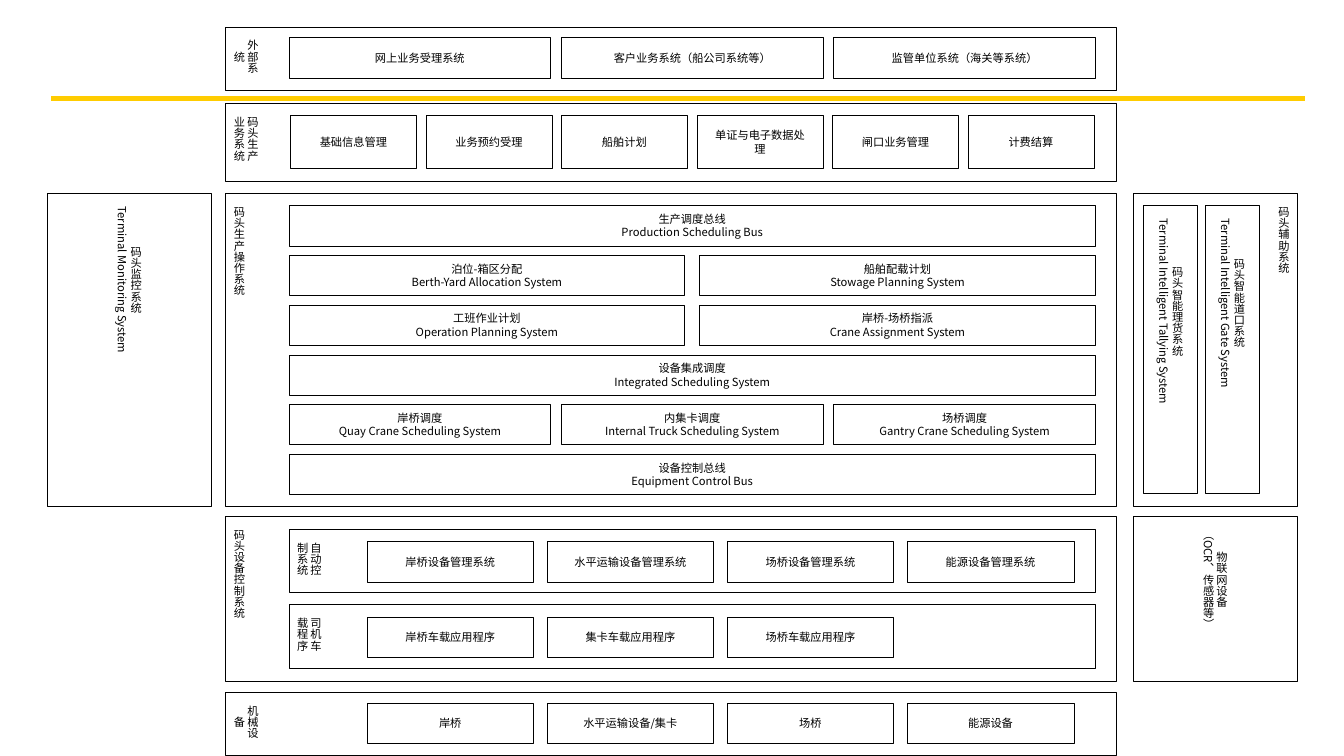
from lxml.etree import SubElement
from pptx import Presentation
from pptx.dml.color import RGBColor
from pptx.enum.shapes import MSO_CONNECTOR, MSO_SHAPE
from pptx.enum.text import MSO_ANCHOR, PP_ALIGN
from pptx.oxml.ns import qn
from pptx.util import Inches, Pt

COLORS = {"box": "FFFFFF", "ink": "000000", "divider": "FFCC00"}
FONT = "Noto Sans CJK SC"
INSET = 0.47
DEVICE_INSET, DEVICE_W, DEVICE_GAP = 1.05, 1.24, 0.1
ROW_H = 0.3


def rgb(name):
    return RGBColor.from_string(COLORS[name])


def add_box(s, x, y, w, h, text, anchor=MSO_ANCHOR.MIDDLE, vertical=False):
    sp = s.shapes.add_shape(MSO_SHAPE.RECTANGLE, Inches(x), Inches(y), Inches(w), Inches(h))
    sp.shadow.inherit = False
    sp.fill.solid()
    sp.fill.fore_color.rgb = rgb("box")
    sp.line.color.rgb = rgb("ink")
    sp.line.width = Pt(0.25)
    tf = sp.text_frame
    tf.word_wrap = True
    tf.vertical_anchor = anchor
    if vertical:
        sp.element.txBody.find(qn("a:bodyPr")).set("vert", "eaVert")
    tf.text = text
    for p in tf.paragraphs:
        p.alignment = PP_ALIGN.CENTER
        p.font.size = Pt(6)
        p.font.name = FONT
        p.font.color.rgb = rgb("ink")
        def_rpr = p._p.pPr.find(qn("a:defRPr"))
        SubElement(def_rpr, qn("a:ea")).set("typeface", FONT)


def add_panel(s, x, y, w, h, label):
    add_box(s, x, y, w, h, label, MSO_ANCHOR.BOTTOM, vertical=True)


def add_row(s, x, y, w, h, gap, labels):
    box_w = (w - gap * (len(labels) - 1)) / len(labels)
    for i, label in enumerate(labels):
        add_box(s, x + i * (box_w + gap), y, box_w, h, label)


def add_devices(s, x, y, labels):
    w = len(labels) * (DEVICE_W + DEVICE_GAP) - DEVICE_GAP
    add_row(s, x, y, w, ROW_H, DEVICE_GAP, labels)


def add_divider(s, x, y, w):
    line = s.shapes.add_connector(MSO_CONNECTOR.STRAIGHT, Inches(x), Inches(y), Inches(x + w), Inches(y))
    line.line.color.rgb = rgb("divider")
    line.line.width = Pt(2.75)
    SubElement(line.element.spPr, qn("a:effectLst"))


def external_systems(s, x, y, w, h):
    add_panel(s, x, y, w, h, "外部系统")
    add_row(s, x + INSET, y + 0.08, 6, ROW_H, 0.08,
            ["网上业务受理系统", "客户业务系统（船公司系统等）", "监管单位系统（海关等系统）"])


def business_systems(s, x, y, w, h):
    add_panel(s, x, y, w, h, "码头生产业务系统")
    add_row(s, x + INSET + 0.01, y + 0.09, 5.98, 0.39, 0.07,
            ["基础信息管理", "业务预约受理", "船舶计划", "单证与电子数据处理", "闸口业务管理", "计费结算"])


def operation_systems(s, x, y, w, h):
    add_panel(s, x, y, w, h, "码头生产操作系统")
    rows = [
        (0, ["生产调度总线\nProduction Scheduling Bus"]),
        (0.11, ["泊位-箱区分配\nBerth-Yard Allocation System",
                "船舶配载计划\nStowage Planning System"]),
        (0.11, ["工班作业计划\nOperation Planning System",
                "岸桥-场桥指派\nCrane Assignment System"]),
        (0, ["设备集成调度\nIntegrated Scheduling System"]),
        (0.08, ["岸桥调度\nQuay Crane Scheduling System",
                "内集卡调度\nInternal Truck Scheduling System",
                "场桥调度\nGantry Crane Scheduling System"]),
        (0, ["设备控制总线\nEquipment Control Bus"]),
    ]
    for i, (gap, labels) in enumerate(rows):
        add_row(s, x + INSET, y + 0.09 + 0.37 * i, 6, ROW_H, gap, labels)


def control_systems(s, x, y, w, h):
    add_panel(s, x, y, w, h, "码头设备控制系统")
    groups = [
        ("自动控制系统", ["岸桥设备管理系统", "水平运输设备管理系统", "场桥设备管理系统", "能源设备管理系统"]),
        ("司机车载程序", ["岸桥车载应用程序", "集卡车载应用程序", "场桥车载应用程序"]),
    ]
    for i, (label, devices) in enumerate(groups):
        top = y + 0.1 + 0.56 * i
        add_panel(s, x + INSET, top, 6, 0.47, label)
        add_devices(s, x + DEVICE_INSET, top + 0.09, devices)


def machinery(s, x, y, w, h):
    add_panel(s, x, y, w, h, "机械设备")
    add_devices(s, x + DEVICE_INSET, y + 0.08, ["岸桥", "水平运输设备/集卡", "场桥", "能源设备"])


def auxiliary_systems(s, x, y, w, h):
    add_box(s, x, y, w, h, "码头辅助系统", MSO_ANCHOR.TOP, vertical=True)
    labels = ["码头智能理货系统\nTerminal Intelligent Tallying System",
              "码头智能道口系统\nTerminal Intelligent Gate System"]
    for i, label in enumerate(labels):
        add_box(s, x + 0.08 + 0.46 * i, y + 0.09, 0.4, 2.14, label, vertical=True)


def main():
    prs = Presentation()
    prs.slide_width = Inches(10)
    prs.slide_height = prs.slide_width * 9 // 16
    s = prs.slides.add_slide(prs.slide_layouts[6])

    left, center, right = (0.35, 1.22), (1.68, 6.63), (8.43, 1.22)
    operation_y, operation_h = 1.44, 2.33
    control_y, control_h = 3.84, 1.23

    add_divider(s, 0.38, 0.73, 9.33)
    external_systems(s, center[0], 0.2, center[1], 0.47)
    business_systems(s, center[0], 0.77, center[1], 0.58)
    operation_systems(s, center[0], operation_y, center[1], operation_h)
    control_systems(s, center[0], control_y, center[1], control_h)
    machinery(s, center[0], 5.15, center[1], 0.47)
    add_box(s, left[0], operation_y, left[1], operation_h,
            "码头监控系统\nTerminal Monitoring System", vertical=True)
    auxiliary_systems(s, right[0], operation_y, right[1], operation_h)
    add_box(s, right[0], control_y, right[1], control_h,
            "物联网设备\n（OCR、传感器等）", vertical=True)

    prs.save("out.pptx")


if __name__ == "__main__":
    main()
